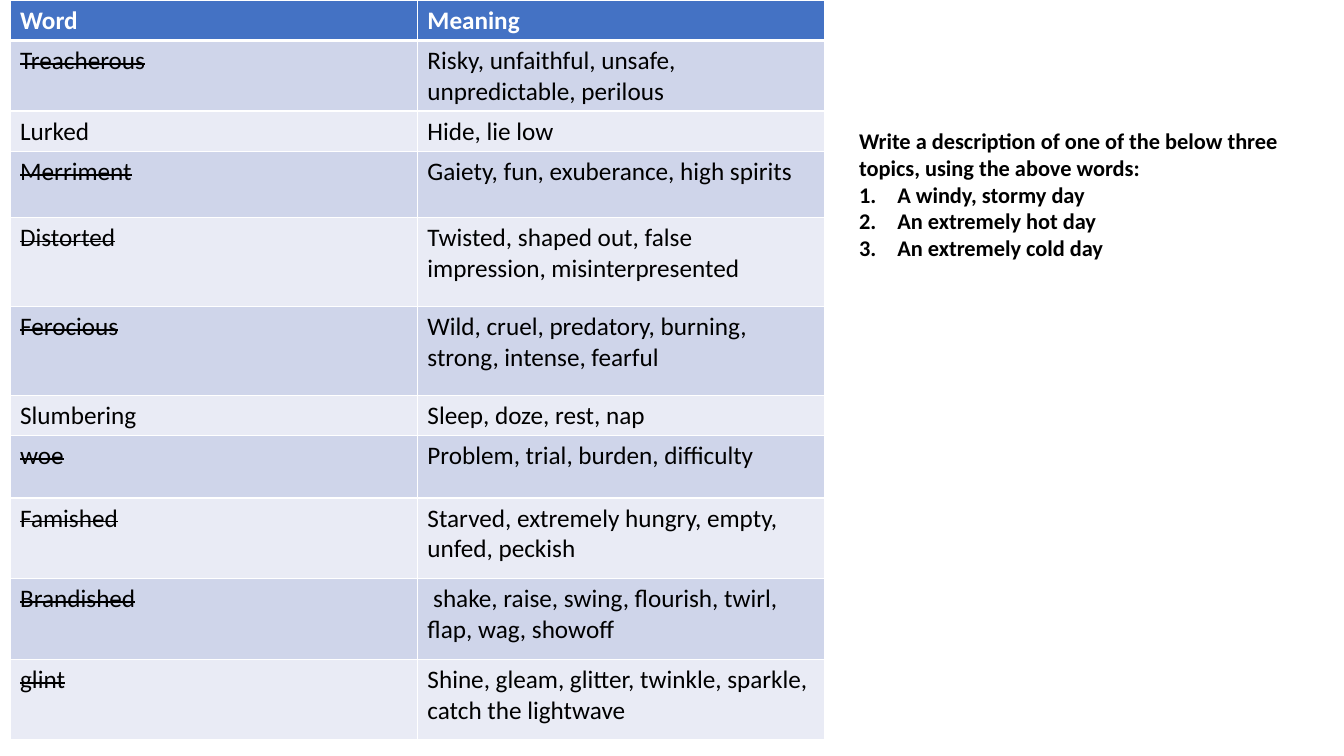
import pptx
import pptx.dml.color
import pptx.enum.text
import pptx.oxml
import pptx.oxml.ns
import pptx.util
from pptx.util import Inches

RGBColor = pptx.dml.color.RGBColor
WHITE = RGBColor(0xFF, 0xFF, 0xFF)
BLACK = RGBColor(0, 0, 0)
HEADER_BLUE = RGBColor(0x44, 0x72, 0xC4)
BAND_DARK = RGBColor(0xCF, 0xD5, 0xEA)
BAND_LIGHT = RGBColor(0xE9, 0xEB, 0xF5)

VOCABULARY = [
    ("Word", "Meaning", 0.39, False),
    ("Treacherous", "Risky, unfaithful, unsafe, unpredictable, perilous", 0.67, True),
    ("Lurked", "Hide, lie low", 0.39, False),
    ("Merriment", "Gaiety, fun, exuberance, high spirits", 0.66, True),
    ("Distorted", "Twisted, shaped out, false impression, misinterpresented", 0.88, True),
    ("Ferocious", "Wild, cruel, predatory, burning, strong, intense, fearful", 0.88, True),
    ("Slumbering", "Sleep, doze, rest, nap", 0.39, False),
    ("woe", "Problem, trial, burden, difficulty", 0.62, True),
    ("Famished", "Starved, extremely hungry, empty, unfed, peckish", 0.8, True),
    ("Brandished", " shake, raise, swing, flourish, twirl, flap, wag, showoff", 0.8, True),
    ("glint", "Shine, gleam, glitter, twinkle, sparkle, catch the lightwave", 0.8, True),
]
INSTRUCTION = "Write a description of one of the below three topics, using the above words:"
TOPICS = ["A windy, stormy day", "An extremely hot day", "An extremely cold day"]


def write(paragraph, text, size=18, color=BLACK, bold=False, strike=False):
    run = paragraph.add_run()
    run.text = text
    run.font.name = "Calibri"
    run.font.size = pptx.util.Pt(size)
    run.font.bold = bold
    run.font.color.rgb = color
    if strike:
        run._r.get_or_add_rPr().set("strike", "sngStrike")


def add_border(cell, side, width):
    cell._tc.get_or_add_tcPr().append(pptx.oxml.parse_xml(
        f'<a:ln{side} {pptx.oxml.ns.nsdecls("a")} w="{pptx.util.Pt(width)}">'
        f'<a:solidFill><a:srgbClr val="{WHITE}"/></a:solidFill></a:ln{side}>'))


deck = pptx.Presentation()
deck.slide_width = Inches(13.33)
deck.slide_height = Inches(7.5)
slide = deck.slides.add_slide(deck.slide_layouts[1])
empty_title = slide.shapes.title._element
empty_title.getparent().remove(empty_title)

vocabulary = slide.shapes.add_table(
    len(VOCABULARY), 2, Inches(0.1), Inches(0), Inches(8.07), Inches(7.28)).table
for column in vocabulary.columns:
    column.width = Inches(4.04)
for index, (word, meaning, height, crossed_out) in enumerate(VOCABULARY):
    vocabulary.rows[index].height = Inches(height)
    heading = index == 0
    fill_color = HEADER_BLUE if heading else BAND_DARK if index % 2 else BAND_LIGHT
    for cell, text, strike in zip(
            vocabulary.rows[index].cells, (word, meaning), (crossed_out, False)):
        write(cell.text_frame.paragraphs[0], text, bold=heading, strike=strike,
              color=WHITE if heading else BLACK)
        for side in "LRTB":
            thick = (heading and side == "B") or (index == 1 and side == "T")
            add_border(cell, side, 3 if thick else 1)
        cell.fill.solid()
        cell.fill.fore_color.rgb = fill_color

task = slide.placeholders[1]
task.left, task.top = Inches(8.42), Inches(1.21)
task.width, task.height = Inches(4.81), Inches(1.45)
task_text = task.text_frame
task_text.word_wrap = True
task_text.auto_size = pptx.enum.text.MSO_AUTO_SIZE.SHAPE_TO_FIT_TEXT
task_text.vertical_anchor = pptx.enum.text.MSO_ANCHOR.TOP
for index, line in enumerate([INSTRUCTION] + TOPICS):
    paragraph = task_text.paragraphs[0] if index == 0 else task_text.add_paragraph()
    paragraph.space_before = pptx.util.Pt(0)
    write(paragraph, line, size=16, bold=True)
    indent = Inches(0.38) if index else 0
    properties = paragraph._p.get_or_add_pPr()
    properties.set("marL", str(indent))
    properties.set("indent", str(-indent))
    bullet = 'buAutoNum type="arabicPeriod"' if index else "buNone"
    properties.append(pptx.oxml.parse_xml(
        f'<a:{bullet} {pptx.oxml.ns.nsdecls("a")}/>'))
    if index:
        properties.insert(1, pptx.oxml.parse_xml(
            f'<a:buFont {pptx.oxml.ns.nsdecls("a")} typeface="+mj-lt"/>'))

deck.save("out.pptx")
